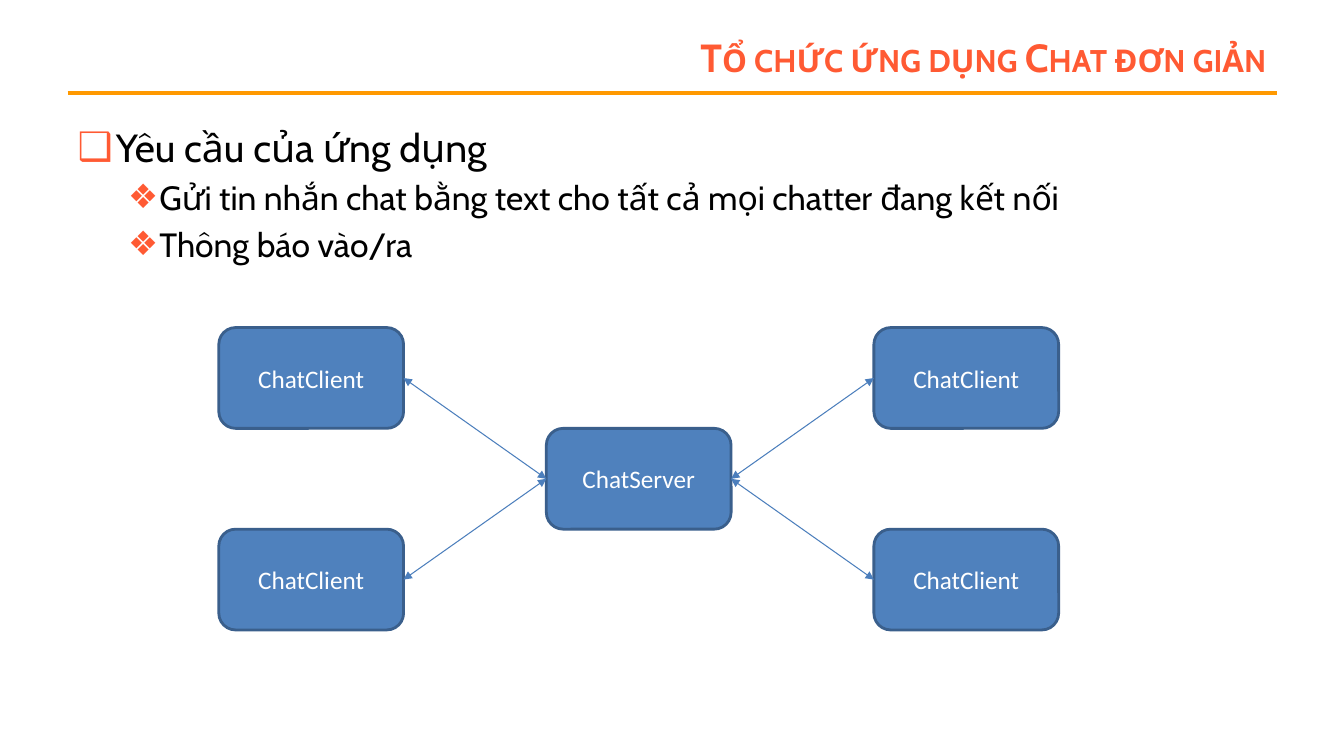
from lxml.etree import SubElement
from pptx import Presentation
from pptx.dml.color import RGBColor
from pptx.enum.shapes import MSO_CONNECTOR as Connector, MSO_SHAPE as Shape
from pptx.enum.text import MSO_ANCHOR as Anchor, MSO_AUTO_SIZE as AutoSize, PP_ALIGN as Align
from pptx.oxml.ns import qn
from pptx.util import Inches, Pt

ORANGE, AMBER, BLACK, WHITE = "FF5A33", "FF9900", "000000", "FFFFFF"
BLUE, BLUE_EDGE, BLUE_LINE = "4F81BD", "3A5F8C", "4B7EBC"
LEFT_SITE, RIGHT_SITE = 1, 3  # connection sites of a rounded rectangle

# level: bullet, text size, left margin, hanging indent
BULLETS = {0: ("❑", 28, 0.38, 0.38), 1: ("❖", 24, 0.81, 0.31)}
REQUIREMENTS = [
    (0, "Yêu cầu của ứng dụng"),
    (1, "Gửi tin nhắn chat bằng text cho tất cả mọi chatter đang kết nối"),
    (1, "Thông báo vào/ra"),
]


def color(value):
    return RGBColor.from_string(value)


def place(shape, box):
    for name, length in zip(("left", "top", "width", "height"), box):
        setattr(shape, name, Inches(length))


def add_span(para, text, font_color, **formats):
    span = para.add_run()
    span.text = text
    span.font.color.rgb = color(font_color)
    for name, value in formats.items():
        setattr(span.font, name, value)
    return span


def add_line(page, start, end, line_color, width):
    line = page.shapes.add_connector(
        Connector.STRAIGHT, *(Inches(length) for length in (*start, *end)))
    line.line.color.rgb = color(line_color)
    line.line.width = Pt(width)
    SubElement(line._element.spPr, qn("a:effectLst"))
    return line


def fill_title(page, box):
    title = page.shapes.title
    place(title, box)
    frame = title.text_frame
    frame.auto_size = AutoSize.NONE
    frame.vertical_anchor = Anchor.MIDDLE
    para = frame.paragraphs[0]
    para.alignment = Align.RIGHT
    span = add_span(para, "Tổ chức ứng dụng Chat đơn giản", ORANGE,
                    name="Cabin", size=Pt(28), bold=True)
    span.font._element.set("cap", "small")


def add_bullet(para, sign, margin, hanging):
    properties = para._p.get_or_add_pPr()
    properties.set("marL", str(Inches(margin)))
    properties.set("indent", str(-Inches(hanging)))
    bullet_color = SubElement(properties, qn("a:buClr"))
    SubElement(bullet_color, qn("a:srgbClr"), val=ORANGE)
    SubElement(properties, qn("a:buChar"), char=sign)


def fill_body(page, box):
    body = page.placeholders[1]
    place(body, box)
    frame = body.text_frame
    frame.auto_size = AutoSize.NONE
    for index, (level, text) in enumerate(REQUIREMENTS):
        para = frame.add_paragraph() if index else frame.paragraphs[0]
        sign, size, margin, hanging = BULLETS[level]
        para.level = level
        para.space_before = Pt(size * 0.2)
        add_bullet(para, sign, margin, hanging)
        add_span(para, text, BLACK, name="Cabin", size=Pt(size))


def add_node(page, text, box):
    node = page.shapes.add_shape(
        Shape.ROUNDED_RECTANGLE, *(Inches(length) for length in box))
    node.shadow.inherit = False
    node.fill.solid()
    node.fill.fore_color.rgb = color(BLUE)
    node.line.color.rgb = color(BLUE_EDGE)
    node.line.width = Pt(2)
    node.text_frame.vertical_anchor = Anchor.MIDDLE
    para = node.text_frame.paragraphs[0]
    para.alignment = Align.CENTER
    add_span(para, text, WHITE, name="Calibri", size=Pt(18))
    return node


def link(page, left_node, right_node):
    """Join the facing sides of two nodes with a two-headed arrow."""
    arrow = add_line(page, (0, 0), (1, 1), BLUE_LINE, 0.75)
    arrow.begin_connect(left_node, RIGHT_SITE)
    arrow.end_connect(right_node, LEFT_SITE)
    outline = arrow.line._get_or_add_ln()
    for end in ("a:headEnd", "a:tailEnd"):
        SubElement(outline, qn(end), type="triangle")


def draw_network(page, box):
    """Put the server in the middle of the box and a client in each corner."""
    left, top, width, height = box
    node_width, node_height = width * 0.22, height / 3

    def node_at(text, column, row):
        return add_node(page, text, (
            left + column * (width - node_width) / 2,
            top + row * node_height, node_width, node_height))

    server = node_at("ChatServer", 1, 1)
    clients = [(column, node_at("ChatClient", column, row))
               for column in (0, 2) for row in (0, 2)]
    for column, client in clients:
        ends = (client, server) if column == 0 else (server, client)
        link(page, *ends)


def main():
    deck = Presentation()
    deck.slide_width, deck.slide_height = Inches(13.33), Inches(7.5)
    page = deck.slides.add_slide(deck.slide_layouts[1])
    add_line(page, (0.67, 0.92), (12.67, 0.92), AMBER, 3)
    fill_title(page, (2.44, 0.3, 10.22, 0.53))
    fill_body(page, (0.67, 1.17, 12, 5.75))
    draw_network(page, (2.17, 3.25, 8.33, 3))
    deck.save("out.pptx")


if __name__ == "__main__":
    main()
